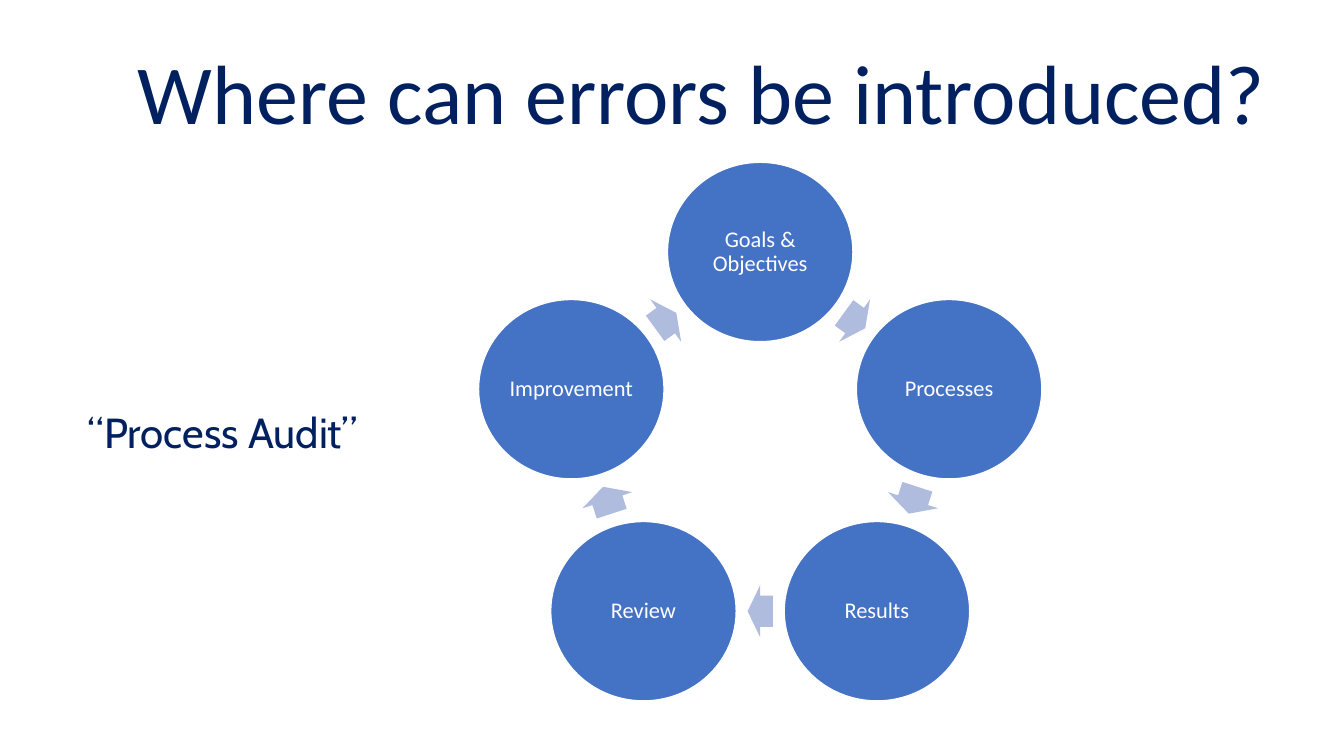
from dataclasses import dataclass
from math import cos, radians, sin

from pptx import Presentation
from pptx.dml.color import RGBColor
from pptx.enum.shapes import MSO_SHAPE as Preset
from pptx.enum.text import MSO_ANCHOR as Anchor, MSO_AUTO_SIZE as AutoSize, PP_ALIGN as Align
from pptx.util import Inches, Pt

TITLE = "Where can errors be introduced?"
SIDE_LABEL = "“Process Audit”"
STAGES = ["Goals & Objectives", "Processes", "Results", "Review", "Improvement"]
ARROW_WIDTHS = [0.26, 0.28, 0.25, 0.28, 0.26]
ARROW_HEIGHT = 0.52
CYCLE_CENTER = (7.54, 4.47)
CYCLE_RADIUS = 1.97
STAGE_SIZE = (1.84, 1.78)
STEP = 360 / len(STAGES)


@dataclass(frozen=True)
class Theme:
    navy: RGBColor = RGBColor.from_string("002060")
    blue: RGBColor = RGBColor.from_string("4472C4")
    pale: RGBColor = RGBColor.from_string("B0BCDE")
    white: RGBColor = RGBColor.from_string("FFFFFF")
    main_font: str = "Calibri"
    label_font: str = "Cabin"
    title_size: int = 60
    label_size: int = 30
    stage_size: int = 16


THEME = Theme()


def write(frame, text, size, color, font, align):
    paragraph = frame.paragraphs[0]
    paragraph.alignment = align
    run = paragraph.add_run()
    run.text = text
    run.font.size = Pt(size)
    run.font.name = font
    run.font.color.rgb = color
    return paragraph


def add_text(slide, box, text, size, font, align, wrap):
    frame = slide.shapes.add_textbox(*map(Inches, box)).text_frame
    frame.word_wrap = wrap
    frame.auto_size = AutoSize.SHAPE_TO_FIT_TEXT
    write(frame, text, size, THEME.navy, font, align)


def add_centered(slide, preset, center, size, fill):
    (x, y), (width, height) = center, size
    box = (x - width / 2, y - height / 2, width, height)
    shape = slide.shapes.add_shape(preset, *map(Inches, box))
    shape.shadow.inherit = False
    shape.fill.solid()
    shape.fill.fore_color.rgb = fill
    return shape


def add_stage(slide, center, text):
    circle = add_centered(slide, Preset.OVAL, center, STAGE_SIZE, THEME.blue)
    circle.line.color.rgb = THEME.white
    circle.line.width = Pt(1)
    frame = circle.text_frame
    frame.word_wrap = True
    frame.vertical_anchor = Anchor.MIDDLE
    frame.margin_left = frame.margin_right = Inches(0.02)
    frame.margin_top = frame.margin_bottom = Inches(0.02)
    paragraph = write(frame, text, THEME.stage_size, THEME.white, THEME.main_font, Align.CENTER)
    paragraph.line_spacing = 0.9


def add_arrow(slide, center, width, rotation):
    arrow = add_centered(slide, Preset.RIGHT_ARROW, center, (width, ARROW_HEIGHT), THEME.pale)
    arrow.line.fill.background()
    arrow.adjustments[0] = 0.6
    arrow.adjustments[1] = 0.5
    arrow.rotation = rotation


def cycle_point(angle, radius):
    x, y = CYCLE_CENTER
    return x + radius * sin(radians(angle)), y - radius * cos(radians(angle))


def main():
    presentation = Presentation()
    presentation.slide_width = Inches(13.33)
    presentation.slide_height = Inches(7.5)
    slide = presentation.slides.add_slide(presentation.slide_layouts[6])

    add_text(slide, (1.12, 0.35, 11.68, 1.11), TITLE, THEME.title_size,
             THEME.main_font, Align.CENTER, True)
    add_text(slide, (0.77, 3.98, 2.88, 0.61), SIDE_LABEL, THEME.label_size,
             THEME.label_font, Align.LEFT, False)

    arrow_radius = CYCLE_RADIUS * cos(radians(STEP / 2))
    for index, (stage, arrow_width) in enumerate(zip(STAGES, ARROW_WIDTHS)):
        angle = index * STEP
        arrow_angle = angle + STEP / 2
        add_stage(slide, cycle_point(angle, CYCLE_RADIUS), stage)
        add_arrow(slide, cycle_point(arrow_angle, arrow_radius), arrow_width, arrow_angle)

    presentation.save("out.pptx")


if __name__ == "__main__":
    main()
